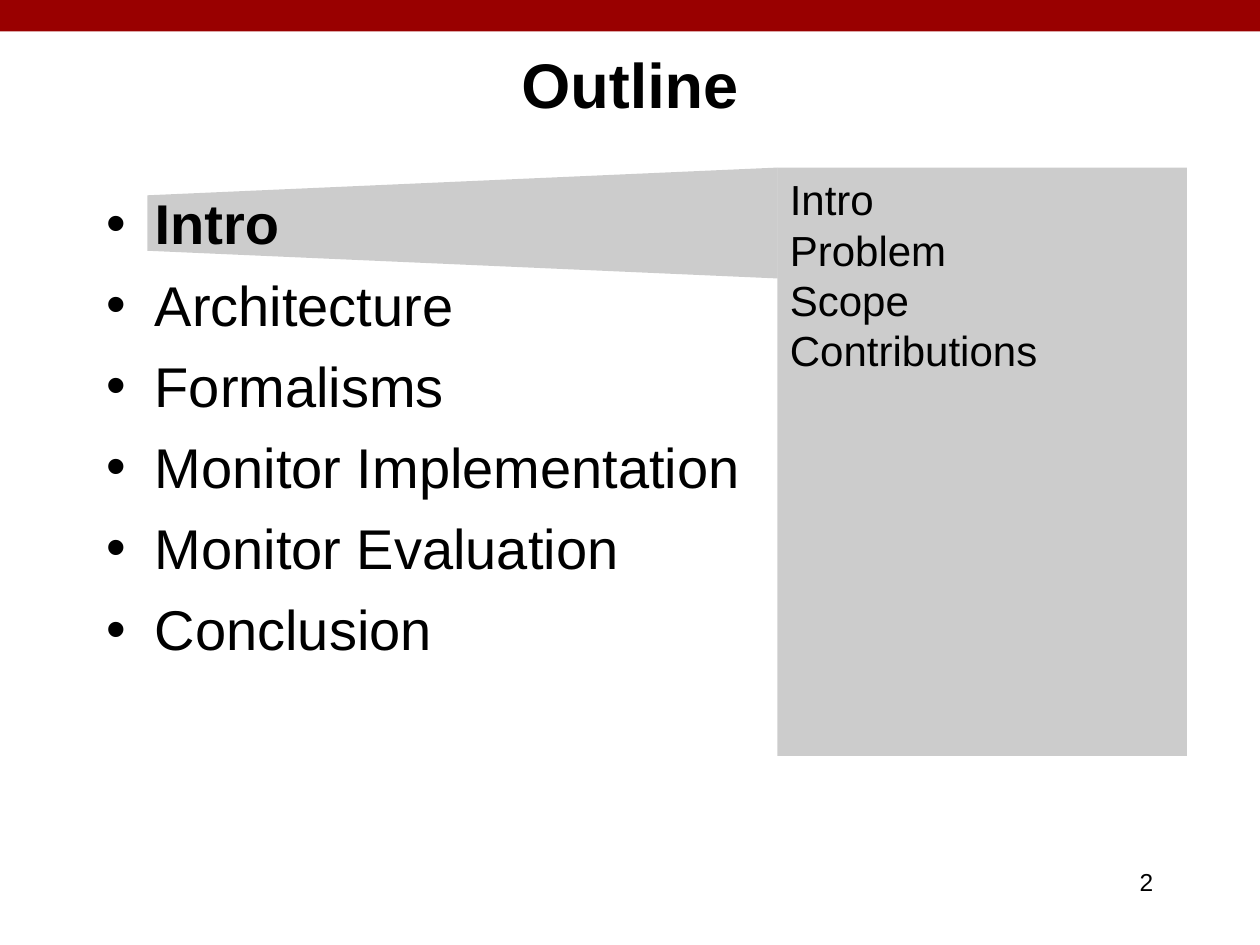
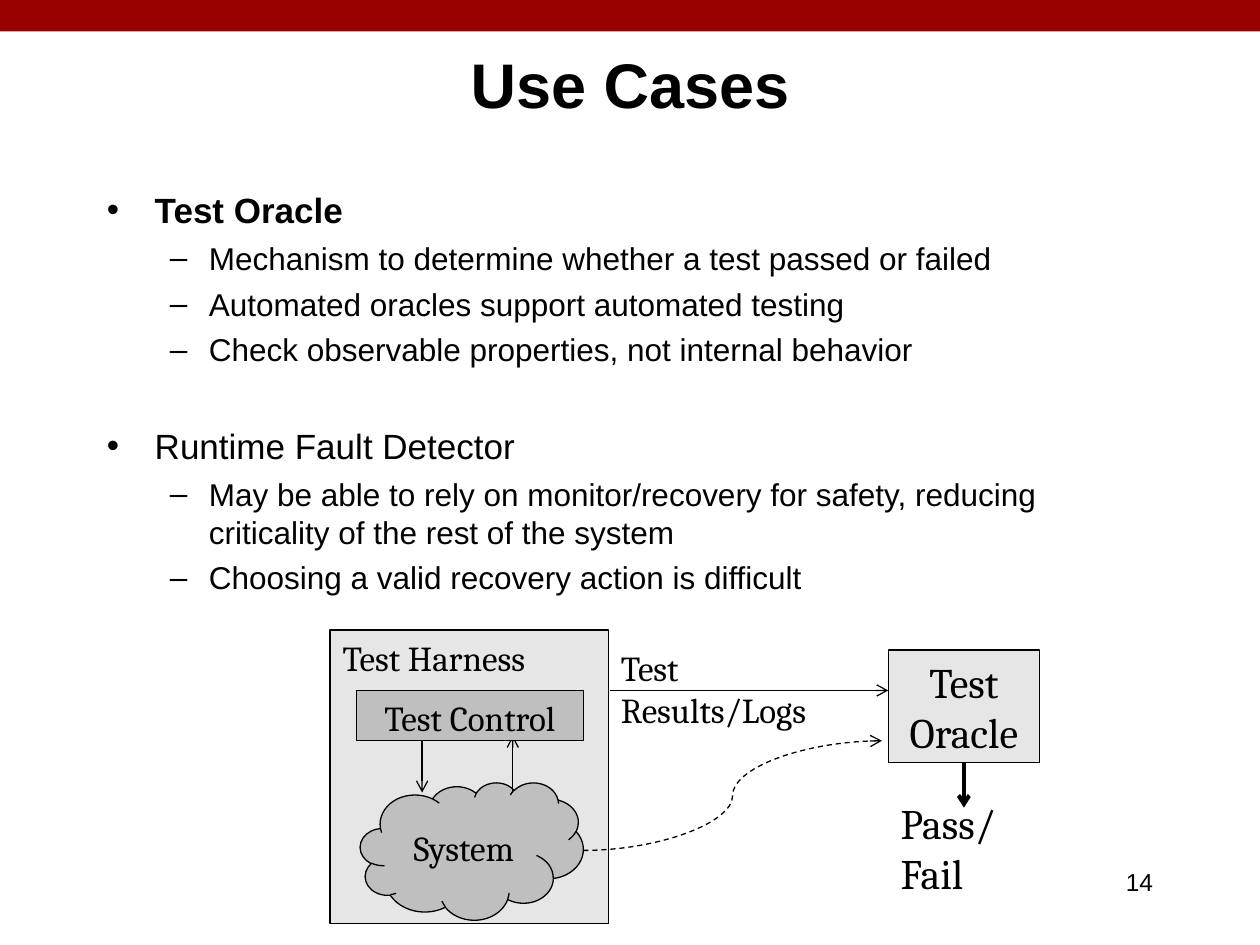
from lxml.etree import SubElement
from pptx import Presentation
from pptx.dml.color import RGBColor
from pptx.enum.dml import MSO_LINE
from pptx.enum.shapes import MSO_CONNECTOR as LINK, MSO_SHAPE as SHAPE
from pptx.enum.text import MSO_ANCHOR as ANCHOR, PP_ALIGN as ALIGN
from pptx.oxml.ns import qn
from pptx.util import Inches, Pt

# Content: (text, level, size, bold, space before)
OUTLINE_TOPICS = ["Intro", "Architecture", "Formalisms", "Monitor Implementation",
                  "Monitor Evaluation", "Conclusion"]
CURRENT_TOPIC = "Intro"
INTRO_PARTS = ["Intro", "Problem", "Scope", "Contributions"]
USE_CASES = [
    ("Test Oracle", True, 0, [
        "Mechanism to determine whether a test passed or failed",
        "Automated oracles support automated testing",
        "Check observable properties, not internal behavior"]),
    ("Runtime Fault Detector", False, 32.5, [
        "May be able to rely on monitor/recovery for safety, reducing "
        "criticality of the rest of the system",
        "Choosing a valid recovery action is difficult"]),
]
# Arrows inside the diagram: start, end
ARROWS = [
    ((3.35, 5.88), (3.35, 6.29)),
    ((4.07, 6.29), (4.07, 5.84)),
    ((4.84, 5.48), (7.05, 5.48)),
]

# Shared look
BLACK = RGBColor(0x00, 0x00, 0x00)
RED = RGBColor(0x99, 0x00, 0x00)
GRAY = RGBColor(0x80, 0x80, 0x80)
PALE = RGBColor(0xE6, 0xE6, 0xE6)
SILVER = RGBColor(0xBF, 0xBF, 0xBF)
BODY_FONT, DIAGRAM_FONT = "Arial", "Cambria"
TITLE_BOX = (0.75, 0.25, 8.5, 0.83)
BODY_BOX = (0.75, 1.42, 8.5, 5)
NUMBER_BOX = (7.17, 6.83, 2.08, 0.5)
BULLETS = [("•", 0.38, -0.38), ("–", 0.81, -0.31)]  # mark, left margin, indent
SPACE_RATIO = 0.25  # space before a bullet, as a part of its text size


def write(holder, lines, size=20, font=BODY_FONT, bold=False, align=ALIGN.LEFT,
          anchor=ANCHOR.TOP):
    """Fill a shape with lines; a bullet line is (text, level, size, bold, space)."""
    frame = holder.text_frame
    frame.word_wrap = True
    frame.vertical_anchor = anchor
    for i, line in enumerate([lines] if isinstance(lines, str) else lines):
        paragraph = frame.paragraphs[0] if i == 0 else frame.add_paragraph()
        paragraph.alignment = align
        text, line_size, line_bold = line, size, bold
        if isinstance(line, tuple):
            text, level, line_size, line_bold, space = line
            mark, margin, indent = BULLETS[level]
            paragraph.level = level
            if i:
                paragraph.space_before = Pt(space)
            props = paragraph._p.get_or_add_pPr()
            props.set("marL", str(Inches(margin)))
            props.set("indent", str(Inches(indent)))
            SubElement(props, qn("a:buFont")).set("typeface", BODY_FONT)
            SubElement(props, qn("a:buChar")).set("char", mark)
        run = paragraph.add_run()
        run.text = text
        run.font.name, run.font.size = font, Pt(line_size)
        run.font.bold = line_bold
        run.font.color.rgb = BLACK
    return holder


def textbox(slide, box, lines, **look):
    return write(slide.shapes.add_textbox(*map(Inches, box)), lines, **look)


def block(slide, kind, box, fill, outlined=False, alpha=None):
    shape = slide.shapes.add_shape(kind, *map(Inches, box))
    shape.shadow.inherit = False
    shape.fill.solid()
    shape.fill.fore_color.rgb = fill
    if alpha:
        color = shape._element.spPr.find(qn("a:solidFill"))[0]
        SubElement(color, qn("a:alpha")).set("val", str(alpha * 1000))
    if outlined:
        shape.line.color.rgb = BLACK
        shape.line.width = Pt(0.75)
    else:
        shape.line.fill.background()
    return shape


def arrow(slide, start, end, kind=LINK.STRAIGHT, width=0.75, dash=None):
    link = slide.shapes.add_connector(kind, *map(Inches, start + end))
    link.line.color.rgb = BLACK
    link.line.width = Pt(width)
    if dash:
        link.line.dash_style = dash
    SubElement(link.line._get_or_add_ln(), qn("a:tailEnd")).set("type", "arrow")
    SubElement(link._element.spPr, qn("a:effectLst"))
    return link


def bullet(text, level, size, bold=False, space=None):
    return text, level, size, bold, space or size * SPACE_RATIO


def bullet_body(slide, bullets):
    body = textbox(slide, BODY_BOX, bullets)
    body.text_frame.margin_top = Inches(0.08)


def new_slide(deck, title, number):
    slide = deck.slides.add_slide(deck.slide_layouts[6])
    block(slide, SHAPE.RECTANGLE, (0, 0, 10, 0.25), RED)
    textbox(slide, TITLE_BOX, title, size=36, bold=True, align=ALIGN.CENTER,
            anchor=ANCHOR.MIDDLE)
    textbox(slide, NUMBER_BOX, str(number), size=14, align=ALIGN.RIGHT)
    return slide


def outline_slide(deck):
    slide = new_slide(deck, "Outline", 2)
    # Panel with the parts of the current topic, and the beam leading to it
    panel = block(slide, SHAPE.RECTANGLE, (6.17, 1.33, 3.25, 4.67), GRAY, alpha=40)
    write(panel, INTRO_PARTS, size=24)
    beam = block(slide, SHAPE.TRAPEZOID, (3.23, -0.73, 0.88, 5), GRAY, alpha=40)
    beam.rotation = 270
    bullet_body(slide, [bullet(topic, 0, 32, topic == CURRENT_TOPIC)
                        for topic in OUTLINE_TOPICS])


def use_cases_slide(deck):
    slide = new_slide(deck, "Use Cases", 14)
    bullets = []
    for use_case, bold, space, points in USE_CASES:
        bullets.append(bullet(use_case, 0, 20, bold, space))
        bullets += [bullet(point, 1, 18) for point in points]
    bullet_body(slide, bullets)

    # Test harness, system under test and oracle
    harness = block(slide, SHAPE.RECTANGLE, (2.62, 5, 2.21, 2.33), PALE, True)
    write(harness, "Test Harness", font=DIAGRAM_FONT)
    system = block(slide, SHAPE.CLOUD, (2.86, 6.21, 1.77, 1.09), SILVER, True)
    write(system, "System", font=DIAGRAM_FONT, align=ALIGN.CENTER,
          anchor=ANCHOR.MIDDLE)
    oracle = block(slide, SHAPE.RECTANGLE, (7.05, 5.16, 1.2, 0.89), PALE, True)
    write(oracle, ["Test", "Oracle"], size=24, font=DIAGRAM_FONT,
          align=ALIGN.CENTER)

    # Flow between them
    for start, end in ARROWS:
        arrow(slide, start, end)
    verdict = arrow(slide, (7.65, 6.05), (7.65, 6.41), width=2.25)
    verdict.begin_connect(oracle, 2)
    textbox(slide, (7.05, 6.28, 1.37, 0.49), "Pass/Fail", size=24,
            font=DIAGRAM_FONT)
    textbox(slide, (4.83, 5.08, 2.17, 0.42), "Test Results/Logs",
            font=DIAGRAM_FONT)
    arrow(slide, (4.63, 6.75), (7, 5.88), kind=LINK.CURVE, dash=MSO_LINE.DASH)
    control = block(slide, SHAPE.RECTANGLE, (2.83, 5.48, 1.8, 0.4), SILVER, True)
    write(control, "Test Control", font=DIAGRAM_FONT, align=ALIGN.CENTER)


def main():
    deck = Presentation()
    deck.slide_width, deck.slide_height = Inches(10), Inches(7.5)
    outline_slide(deck)
    use_cases_slide(deck)
    deck.save("out.pptx")


if __name__ == "__main__":
    main()
